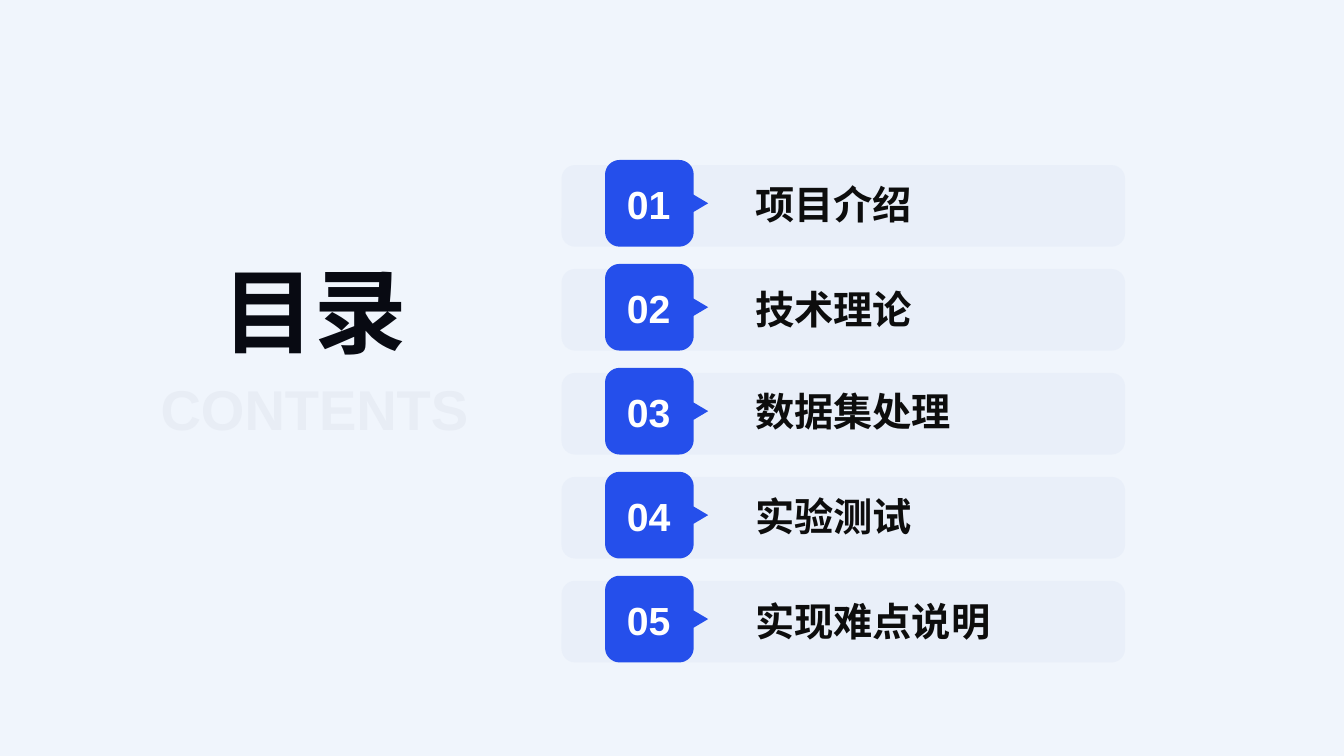
import pptx
import pptx.util
import pptx.dml.color
import pptx.enum.shapes
import pptx.enum.text
import pptx.oxml.ns
from lxml import etree

RGBColor = pptx.dml.color.RGBColor
PALE_BLUE = RGBColor(0xF0, 0xF5, 0xFC)
BAR_BLUE = RGBColor(0xDA, 0xE3, 0xF3)
BADGE_BLUE = RGBColor(0x25, 0x4F, 0xEB)
HEADING_INK = RGBColor(0x08, 0x0A, 0x12)
FAINT_GREY = RGBColor(0xE8, 0xED, 0xF5)
TOPIC_INK = RGBColor(0x0D, 0x0D, 0x0D)
WHITE = RGBColor(0xFF, 0xFF, 0xFF)

SLIDE_WIDTH = pptx.util.Inches(13.33)
SLIDE_HEIGHT = pptx.util.Inches(7.5)
ROW_PITCH = 13.75
CURVE_PULL = 0.55
CURVE_STARTS = (0, 7, 11, 15)
TOPIC_TOPS = {
    "项目介绍": 23.2,
    "技术理论": 37.07,
    "数据集处理": 50.53,
    "实验测试": 64.4,
    "实现难点说明": 78.27,
}
ALIGN = pptx.enum.text.PP_ALIGN
qn = pptx.oxml.ns.qn


def across(percent):
    return round(SLIDE_WIDTH * percent / 100)


def down(percent):
    return round(SLIDE_HEIGHT * percent / 100)


def area(left, top, width, height):
    return across(left), down(top), across(width), down(height)


def paint(shape, colour, opacity=100):
    shape.shadow.inherit = False
    shape.line.fill.background()
    shape.fill.solid()
    shape.fill.fore_color.rgb = colour
    if opacity < 100:
        tint = shape.fill._xPr.find(".//" + qn("a:srgbClr"))
        etree.SubElement(tint, qn("a:alpha"), val=str(opacity * 1000))


def add_label(slide, place, words, size, colour, align=ALIGN.CENTER, spacing=1.0, grow=False):
    frame = slide.shapes.add_textbox(*area(*place)).text_frame
    frame.word_wrap = True
    frame.vertical_anchor = pptx.enum.text.MSO_ANCHOR.MIDDLE
    if grow:
        frame.auto_size = pptx.enum.text.MSO_AUTO_SIZE.SHAPE_TO_FIT_TEXT
    paragraph = frame.paragraphs[0]
    paragraph.alignment = align
    paragraph.line_spacing = spacing
    run = paragraph.add_run()
    run.text = words
    run.font.name = "Arial"
    run.font.size = pptx.util.Pt(size)
    run.font.bold = True
    run.font.color.rgb = colour


def add_bar(slide, offset):
    bar = slide.shapes.add_shape(
        pptx.enum.shapes.MSO_SHAPE.ROUNDED_RECTANGLE, *area(41.78, 21.83 + offset, 41.93, 10.8))
    paint(bar, BAR_BLUE, 30)


def corner(x, y, entry, leave):
    def pulled(shift):
        rest = 1 - CURVE_PULL
        return x + shift[0] * rest, y + shift[1] * rest

    return [(x + entry[0], y + entry[1]), pulled(entry), pulled(leave), (x + leave[0], y + leave[1])]


def round_corners(shape):
    lines = list(shape._element.iter(qn("a:lnTo")))
    for start in CURVE_STARTS:
        curve = etree.Element(qn("a:cubicBezTo"))
        lines[start].addprevious(curve)
        for line in lines[start:start + 3]:
            curve.append(line[0])
            line.getparent().remove(line)


def add_badge(slide, offset):
    left, top, width, height = area(45.63, 20.08 + offset, 6.45, 13.63)
    right, bottom, centre = left + width, top + height, left + width / 2
    radius, half_tip = down(1.92), across(0.64)
    shoulder = top + radius
    outline = (
        corner(left, shoulder, (0, radius), (radius, 0))
        + [(centre - half_tip, shoulder), (centre, top), (centre + half_tip, shoulder)]
        + corner(right, shoulder, (-radius, 0), (0, radius))
        + corner(right, bottom, (0, -radius), (-radius, 0))
        + corner(left, bottom, (radius, 0), (0, -radius))
    )
    builder = slide.shapes.build_freeform(*outline[0])
    builder.add_line_segments(outline[1:], close=True)
    badge = builder.convert_to_shape()
    round_corners(badge)
    badge.rotation = 90
    paint(badge, BADGE_BLUE)


def add_entry(slide, index):
    offset = index * ROW_PITCH
    add_bar(slide, offset)
    add_badge(slide, offset)
    add_label(slide, (44.98, 23.2 + offset, 6.56, 7.6), f"{index + 1:02d}", 28, WHITE, grow=True)


def main():
    deck = pptx.Presentation()
    deck.slide_width, deck.slide_height = SLIDE_WIDTH, SLIDE_HEIGHT
    slide = deck.slides.add_slide(deck.slide_layouts[6])
    slide.background.fill.solid()
    slide.background.fill.fore_color.rgb = PALE_BLUE
    add_label(slide, (3, 49, 40.8, 10), "CONTENTS", 40, FAINT_GREY)
    add_label(slide, (3, 34.4, 40.8, 14.93), "目录", 66, HEADING_INK, spacing=0.9)
    for index in range(len(TOPIC_TOPS)):
        add_entry(slide, index)
    for topic, top in TOPIC_TOPS.items():
        add_label(slide, (55.47, top, 25.2, 7.6), topic, 28, TOPIC_INK, ALIGN.LEFT, grow=True)
    deck.save("out.pptx")


if __name__ == "__main__":
    main()
